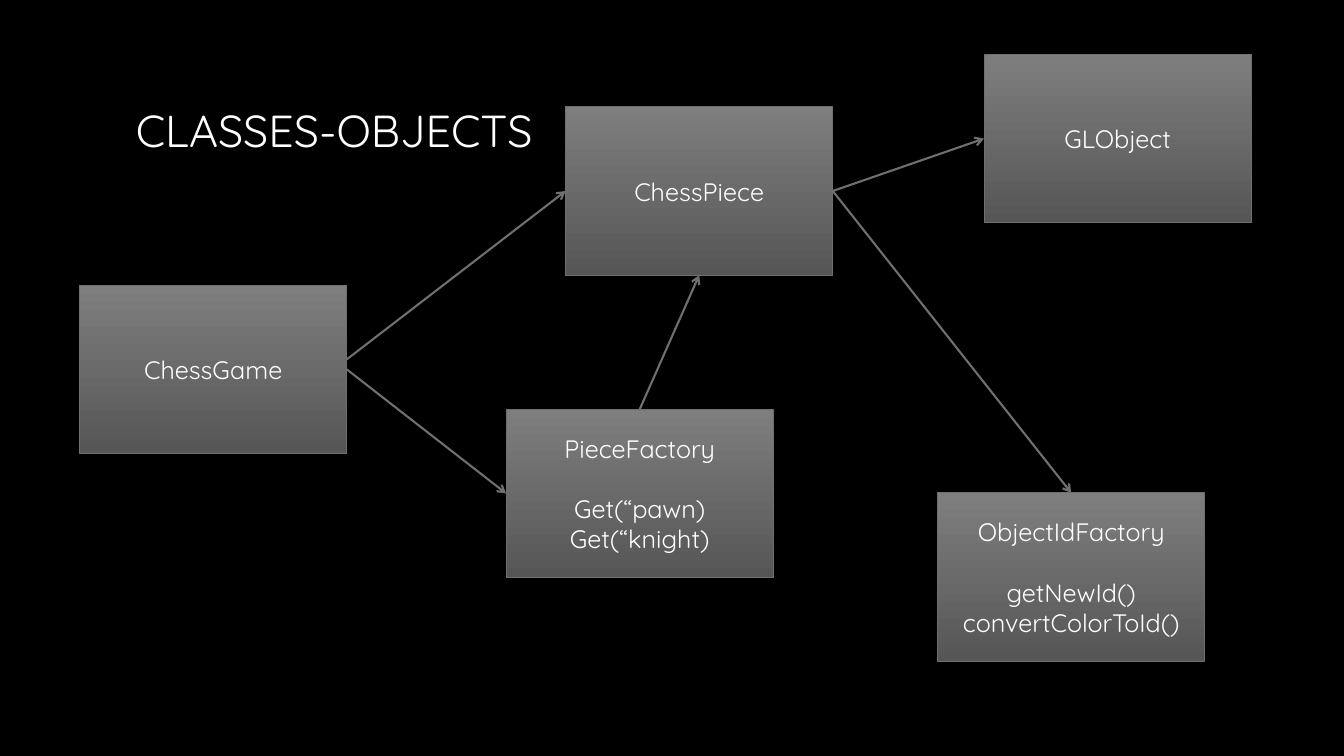
from dataclasses import dataclass

from pptx import Presentation
from pptx.dml.color import RGBColor as RGB
from pptx.enum.shapes import MSO_CONNECTOR as Connector, MSO_SHAPE as Shape
from pptx.enum.text import MSO_ANCHOR as Anchor, PP_ALIGN as Align
from pptx.oxml.ns import qn
from pptx.util import Inches, Pt
from lxml.etree import SubElement

TOP, LEFT, BOTTOM, RIGHT = range(4)
BOX_WIDTH, BOX_HEIGHT = 2.65, 1.67


@dataclass(frozen=True)
class Theme:
    font: str = "Quicksand"
    background: str = "000000"
    text: str = "FFFFFF"
    title_colors: tuple = ("FFFFFF", "A6A6A6")
    box_colors: tuple = ("7E7E7E", "565656")
    line: str = "6F6F6F"
    title_size: float = 32
    body_size: float = 18
    member_gap: float = 21.6
    border_width: float = 0.75
    arrow_width: float = 1.5


class ClassDiagram:
    def __init__(self, slide, theme):
        self.slide, self.theme = slide, theme
        backdrop = slide.background.fill
        backdrop.solid()
        backdrop.fore_color.rgb = RGB.from_string(theme.background)

    def _gradient(self, fill, colors, angle):
        """Fill with two colours; the angle runs counter-clockwise."""
        fill.gradient()
        fill.gradient_angle = angle
        for stop, color in zip(fill.gradient_stops, colors):
            stop.color.rgb = RGB.from_string(color)

    def _stroke(self, line, width):
        line.color.rgb = RGB.from_string(self.theme.line)
        line.width = Pt(width)

    def _run(self, paragraph, text, size):
        run = paragraph.add_run()
        run.text = text
        run.font.name = self.theme.font
        run.font.size = Pt(size)
        return run

    def title(self, text, left, top, width, height):
        heading = self.slide.shapes.add_textbox(
            Inches(left), Inches(top), Inches(width), Inches(height))
        frame = heading.text_frame
        frame.word_wrap = True
        frame.vertical_anchor = Anchor.MIDDLE
        run = self._run(frame.paragraphs[0], text, self.theme.title_size)
        self._gradient(run.font.fill, self.theme.title_colors, 267)

    def class_box(self, left, top, name, *members):
        """Draw a class with its members set one line below the name."""
        box = self.slide.shapes.add_shape(
            Shape.RECTANGLE, Inches(left), Inches(top),
            Inches(BOX_WIDTH), Inches(BOX_HEIGHT))
        box.shadow.inherit = False
        self._gradient(box.fill, self.theme.box_colors, 270)
        self._stroke(box.line, self.theme.border_width)
        frame = box.text_frame
        frame.word_wrap = True
        frame.vertical_anchor = Anchor.MIDDLE
        for index, text in enumerate((name, *members)):
            paragraph = frame.add_paragraph() if index else frame.paragraphs[0]
            paragraph.alignment = Align.CENTER
            if index == 1:
                paragraph.space_before = Pt(self.theme.member_gap)
            run = self._run(paragraph, text, self.theme.body_size)
            run.font.color.rgb = RGB.from_string(self.theme.text)
        return box

    def arrow(self, source, source_side, target, target_side, start_shift=0):
        """Join two boxes; a start shift moves the free start down the right side."""
        start_x = source.left + source.width
        start_y = source.top + source.height // 2 + Inches(start_shift)
        link = self.slide.shapes.add_connector(
            Connector.STRAIGHT, start_x, start_y, target.left, target.top)
        if not start_shift:
            link.begin_connect(source, source_side)
        link.end_connect(target, target_side)
        self._stroke(link.line, self.theme.arrow_width)
        SubElement(link.line._get_or_add_ln(), qn("a:tailEnd"), type="arrow")
        SubElement(link._element.spPr, qn("a:effectLst"))


def main():
    deck = Presentation()
    deck.slide_width, deck.slide_height = Inches(13.33), Inches(7.5)
    diagram = ClassDiagram(deck.slides.add_slide(deck.slide_layouts[6]), Theme())

    diagram.title("CLASSES-OBJECTS", 1.25, 0.67, 10.83, 1.23)
    game = diagram.class_box(0.79, 2.83, "ChessGame")
    piece = diagram.class_box(5.61, 1.06, "ChessPiece")
    gl_object = diagram.class_box(9.76, 0.54, "GLObject")
    piece_factory = diagram.class_box(
        5.02, 4.06, "PieceFactory", "Get(“pawn)", "Get(“knight)")
    id_factory = diagram.class_box(
        9.3, 4.89, "ObjectIdFactory", "getNewId()", "convertColorToId()")

    diagram.arrow(game, RIGHT, piece_factory, LEFT)
    diagram.arrow(piece, RIGHT, id_factory, TOP)
    diagram.arrow(piece_factory, TOP, piece, BOTTOM)
    diagram.arrow(piece, RIGHT, gl_object, LEFT)
    diagram.arrow(game, RIGHT, piece, LEFT, start_shift=-0.1)

    deck.save("out.pptx")


if __name__ == "__main__":
    main()
